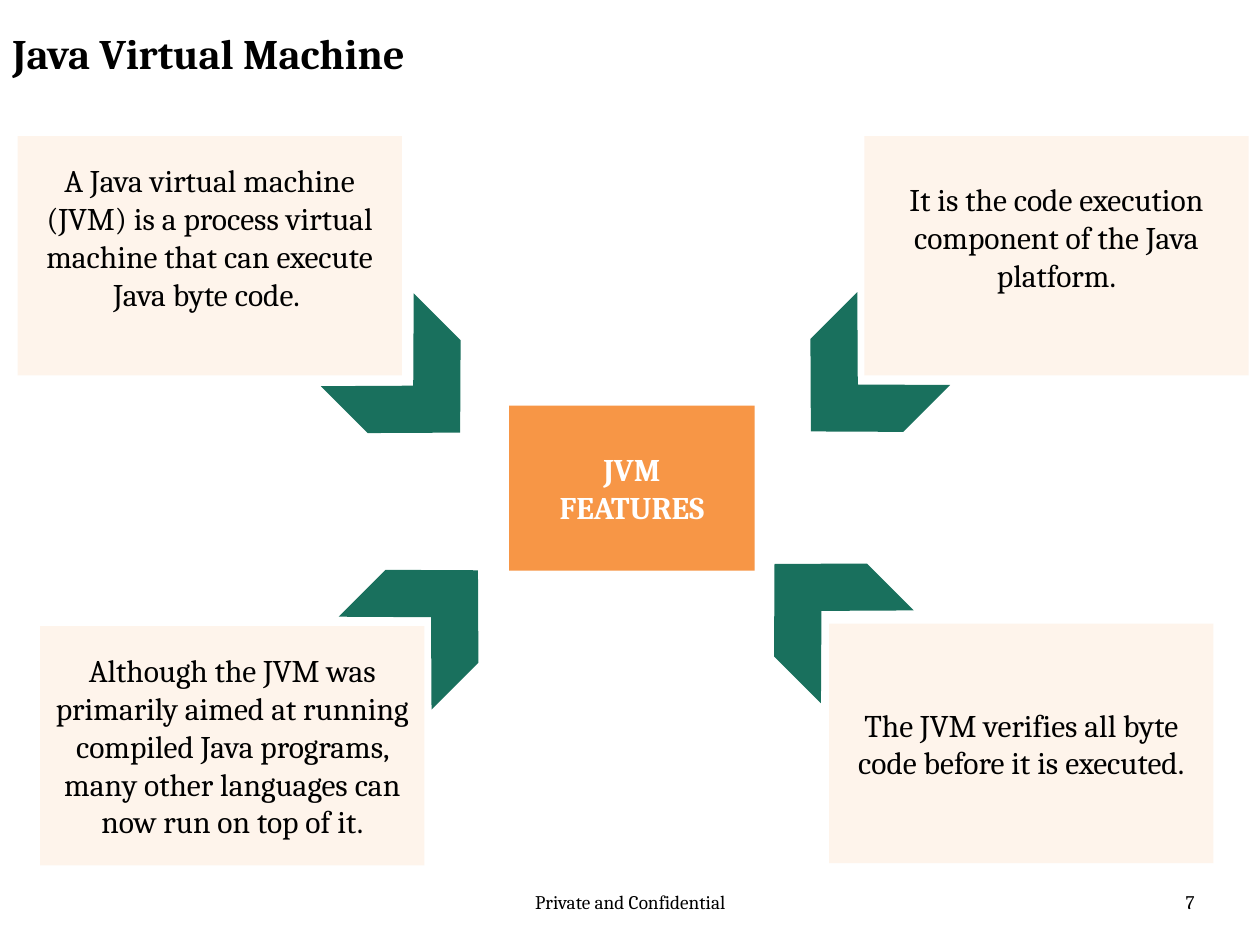
from dataclasses import dataclass
from lxml.etree import SubElement
from pptx import Presentation
from pptx.dml.color import RGBColor
from pptx.enum.shapes import MSO_SHAPE
from pptx.enum.text import MSO_ANCHOR, PP_ALIGN
from pptx.oxml.ns import qn
from pptx.util import Pt


@dataclass(frozen=True)
class Theme:
    """Colours, type sizes and insets of the slide."""
    font: str = "Cambria"
    ink: str = "000000"
    light: str = "FFFFFF"
    cream: str = "FDE9D8"
    green: str = "19705D"
    orange: str = "F79646"
    head: float = 24
    body: float = 18
    foot: float = 11
    line: float = 21.6
    side: float = 7.2
    edge: float = 3.6


THEME = Theme()


def apply(item, form):
    """Set each attribute named in a dict of format values."""
    for name, value in form.items():
        setattr(item, name, value)


def write(shape, lines, size, color=THEME.ink, bold=False, align=PP_ALIGN.CENTER,
          anchor=MSO_ANCHOR.TOP, above=0, below=0):
    """Fill a shape with styled lines, with room kept above and below."""
    frame = shape.text_frame
    apply(frame, {
        "word_wrap": True, "vertical_anchor": anchor,
        "margin_left": Pt(THEME.side), "margin_right": Pt(THEME.side),
        "margin_top": Pt(THEME.edge + above),
        "margin_bottom": Pt(THEME.edge + below),
    })
    frame.text = "\n".join(lines)
    for para in frame.paragraphs:
        para.alignment = align
        apply(para.font, {"name": THEME.font, "size": Pt(size), "bold": bold})
        para.font.color.rgb = RGBColor.from_string(color)


def block(slide, kind, box, color, alpha=None):
    """Add a flat preset shape without outline or shadow."""
    shape = slide.shapes.add_shape(kind, *map(Pt, box))
    shape.shadow.inherit = False
    shape.fill.solid()
    shape.fill.fore_color.rgb = RGBColor.from_string(color)
    shape.line.fill.background()
    if alpha:
        tint = shape.fill._xPr.find(".//" + qn("a:srgbClr"))
        SubElement(tint, qn("a:alpha")).set("val", str(alpha * 1000))
    return shape


def label(slide, box, text, size, **form):
    """Add a line of plain text in a box."""
    write(slide.shapes.add_textbox(*map(Pt, box)), [text], size, **form)


def card(slide, box, text, below=0):
    """Add a pale card with centred text."""
    shape = block(slide, MSO_SHAPE.RECTANGLE, box, THEME.cream, alpha=49)
    write(shape, [text], THEME.body, anchor=MSO_ANCHOR.MIDDLE, below=below)


def arrow(slide, box, gap, turn, size=75):
    """Add a chevron around the corner of the box that faces the hub."""
    left, top, width, height = box
    across, down = gap
    x = left + across + (width if across > 0 else 0)
    y = top + down + (height if down > 0 else 0)
    spot = (x - size / 2, y - size / 2, size, size)
    shape = block(slide, MSO_SHAPE.CHEVRON, spot, THEME.green)
    shape.adjustments[0] = 0.495
    shape.rotation = turn


def hub(slide, box):
    """Add the central block that names the topic."""
    shape = block(slide, MSO_SHAPE.RECTANGLE, box, THEME.orange)
    write(shape, ["JVM", "FEATURES"], THEME.body, THEME.light, bold=True,
          above=THEME.line)


def footer(slide, top, height):
    """Add the notice and the page number."""
    label(slide, (246.2, top, 228.2, height), "Private and Confidential", THEME.foot)
    label(slide, (522, top, 167.8, height), "7", THEME.foot, align=PP_ALIGN.RIGHT)


def main():
    """Build the slide and save it."""
    deck = Presentation()
    apply(deck, {"slide_width": Pt(720), "slide_height": Pt(540)})
    slide = deck.slides.add_slide(deck.slide_layouts[6])
    footer(slide, 505.4, 28.8)
    label(slide, (0, 12.2, 544.3, 72), "Java Virtual Machine", THEME.head,
          bold=True, align=PP_ALIGN.LEFT)
    wide, high = 219.6, 136.8
    facts = [
        (10, 77.8, (6.8, 6.1), THEME.line,
         "A Java virtual machine (JVM) is a process virtual machine that can "
         "execute Java byte code. "),
        (493.9, 77.8, (-4, 5.4), THEME.line,
         "It is the code execution component of the Java platform."),
        (473.8, 356.4, (-4.7, -7.6), 0,
         "The JVM verifies all byte code before it is executed."),
        (23, 357.8, (4, -5.4), 0,
         "Although the JVM was primarily aimed at running compiled Java programs, "
         "many other languages can now run on top of it."),
    ]
    for index, (left, top, gap, below, text) in enumerate(facts):
        box = (left, top, wide, high)
        card(slide, box, text, below)
        arrow(slide, box, gap, 45 + 90 * index)
    hub(slide, (290.9, 231.8, 140.4, 94.3))
    deck.save("out.pptx")


if __name__ == "__main__":
    main()
